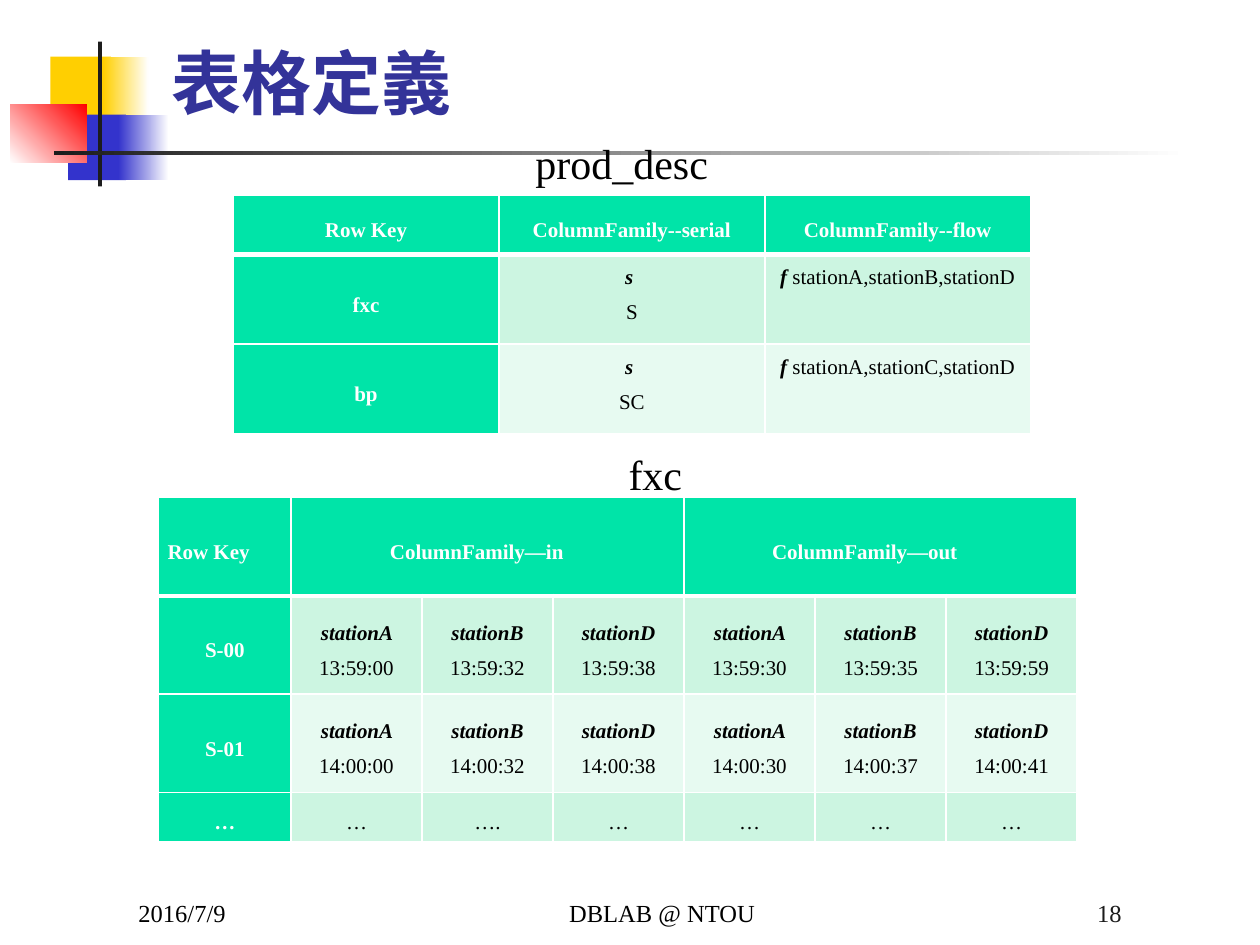
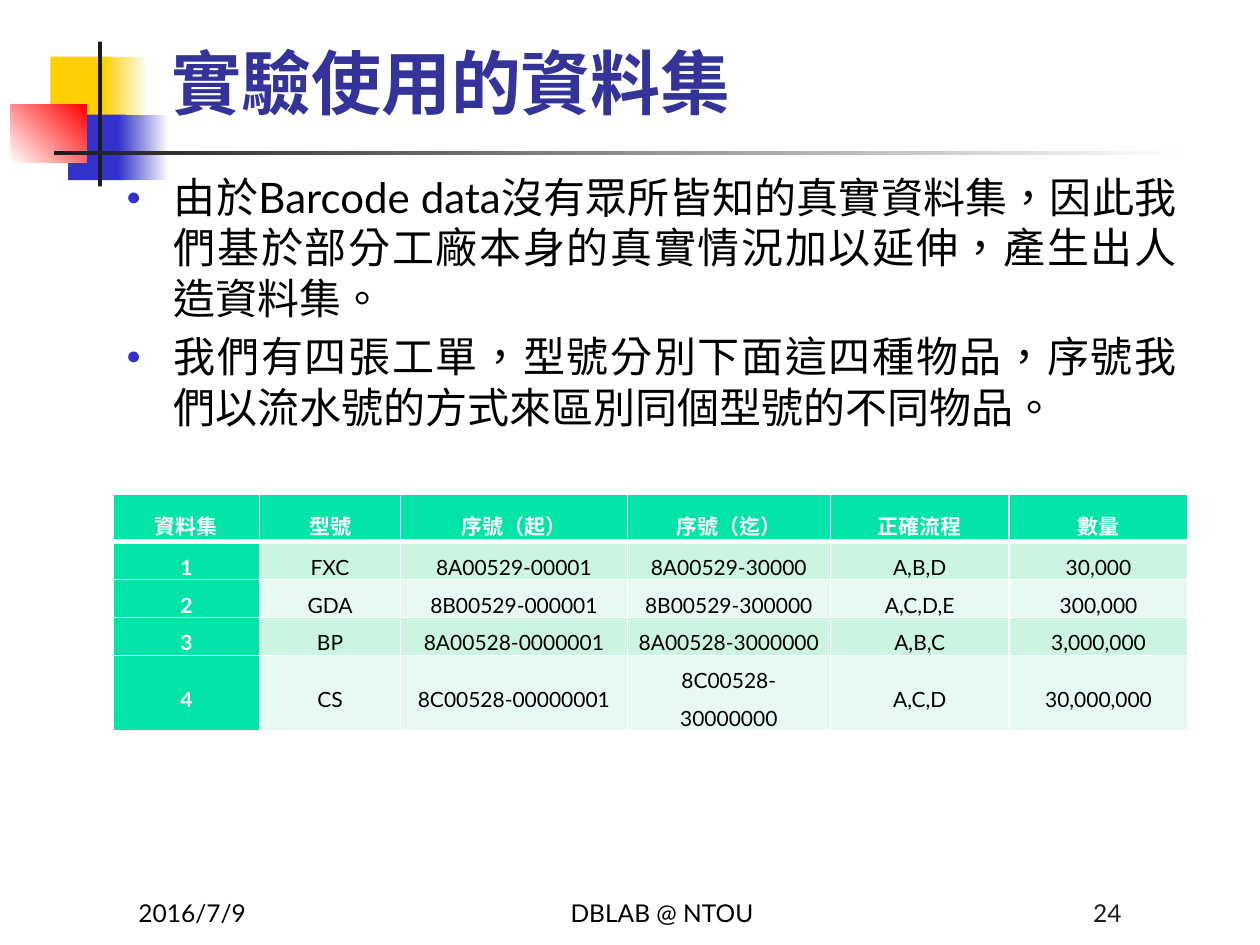
from pptx import Presentation
from pptx.dml.color import RGBColor
from pptx.enum.shapes import MSO_SHAPE
from pptx.enum.text import MSO_ANCHOR as Anchor, MSO_AUTO_SIZE as AutoSize, PP_ALIGN as Align
from pptx.oxml import parse_xml
from pptx.oxml.ns import nsdecls
from pptx.util import Inches, Pt

BLACK, WHITE, DARK = "000000", "FFFFFF", "1C1C1C"
YELLOW, BLUE, RED, NAVY = "FFCF01", "3333CC", "FF0000", "333399"
HEAD, BANDS = "00E4A8", ("CCF5E1", "E7FAF1")
SERIF, SANS = "Times New Roman", "Lato"

ORNAMENTS = [
    ((0.4, 0.45, 0.48, 0.52), (YELLOW,), 0),
    ((0.82, 0.45, 0.36, 0.52), (YELLOW, WHITE), 0),
    ((0.54, 0.91, 0.46, 0.52), (BLUE,), 0),
    ((0.94, 0.91, 0.4, 0.52), (BLUE, WHITE), 0),
    ((0.08, 0.83, 0.61, 0.46), (WHITE, RED), 45),
    ((0.78, 0.33, 0.03, 1.15), (DARK,), 0),
    ((0.43, 1.2, 9, 0.03), (DARK, WHITE), 0),
]


def stacked(label, value):
    return [[(label + " ", True)], [(value, False)]]


def inline(label, value):
    return [[(label + " ", True), (value, False)]]


def station_row(key, times):
    return [key] + [inline("station" + name, time) for name, time in zip("ABDABD", times)]


PRODUCTS = {
    "at": (1.85, 1.55),
    "cols": [2.11] * 3,
    "rows": [0.47, 0.71, 0.71],
    "cells": [
        ["Row Key", "ColumnFamily--serial", "ColumnFamily--flow"],
        ["fxc", stacked("s", "S"), inline("f", "stationA,stationB,stationD")],
        ["bp", stacked("s", "SC"), inline("f", "stationA,stationC,stationD")],
    ],
    "body_anchor": Anchor.TOP,
}
STATIONS = {
    "at": (1.26, 3.95),
    "cols": [1.05] + [1.04] * 6,
    "rows": [0.78, 0.78, 0.78, 0.39],
    "cells": [
        ["Row Key", "ColumnFamily—in", None, None, "ColumnFamily—out", None, None],
        station_row("S-00", ["13:59:00", "13:59:32", "13:59:38",
                             "13:59:30", "13:59:35", "13:59:59"]),
        station_row("S-01", ["14:00:00", "14:00:32", "14:00:38",
                             "14:00:30", "14:00:37", "14:00:41"]),
        ["…", "…", "….", "…", "…", "…", "…"],
    ],
    "corner_align": Align.LEFT,
    "head_insets": {1: 0.24, 4: 0.32},
}
DATASETS = {
    "at": (0.9, 3.92),
    "cols": [1.16, 1.12, 1.8, 1.61, 1.42, 1.42],
    "rows": [0.38, 0.3, 0.3, 0.3, 0.6],
    "cells": [
        ["資料集", "型號", "序號（起）", "序號（迄）", "正確流程", "數量"],
        ["1", "FXC", "8A00529-00001", "8A00529-30000", "A,B,D", "30,000"],
        ["2", "GDA", "8B00529-000001", "8B00529-300000", "A,C,D,E", "300,000"],
        ["3", "BP", "8A00528-0000001", "8A00528-3000000", "A,B,C", "3,000,000"],
        ["4", "CS", "8C00528-00000001", "8C00528-30000000", "A,C,D", "30,000,000"],
    ],
}
SLIDES = [
    {"title": "表格定義", "number": "18", "font": SERIF,
     "tables": [PRODUCTS, STATIONS],
     "captions": [("prod_desc", (4.15, 1.04, 1.59, 0.5)), ("fxc", (4.89, 3.51, 0.63, 0.5))]},
    {"title": "實驗使用的資料集", "number": "24", "font": SANS,
     "tables": [DATASETS],
     "bullets": [
         "由於Barcode data沒有眾所皆知的真實資料集，因此我們基於部分工廠本身的真實情況加以延伸，產生出人造資料集。",
         "我們有四張工單，型號分別下面這四種物品，序號我們以流水號的方式來區別同個型號的不同物品。",
     ]},
]


def color(code):
    return RGBColor.from_string(code)


def place(shape, at):
    shape.left, shape.top, shape.width, shape.height = map(Inches, at)


def add_bullet(para):
    props = para._p.get_or_add_pPr()
    props.set("marL", str(Inches(0.38)))
    props.set("indent", str(-Inches(0.38)))
    for xml in (f'<a:buClr {nsdecls("a")}><a:srgbClr val="{BLUE}"/></a:buClr>',
                f'<a:buSzPct {nsdecls("a")} val="60000"/>',
                f'<a:buChar {nsdecls("a")} char="●"/>'):
        props.append(parse_xml(xml))


def write(frame, paras, *, font, size, fill=BLACK, bold=False, align=Align.LEFT,
          line=None, gap=0, bullet=False):
    for index, content in enumerate(paras):
        para = frame.paragraphs[0] if index == 0 else frame.add_paragraph()
        para.alignment = align
        para.space_before = Pt(gap if index else 0)
        if line:
            para.line_spacing = line
        if bullet:
            add_bullet(para)
        spans = [(content, False)] if isinstance(content, str) else content
        for text, is_label in spans:
            span = para.add_run()
            span.text = text
            span.font.name, span.font.size = font, Pt(size)
            span.font.bold, span.font.italic = bold or is_label, is_label
            span.font.color.rgb = color(fill)
            span._r.get_or_add_rPr().set("lang", "zh-TW")


def add_label(page, text, at, *, wrap=True, anchor=Anchor.TOP, **style):
    frame = page.shapes.add_textbox(*map(Inches, at)).text_frame
    frame.word_wrap = wrap
    frame.vertical_anchor = anchor
    write(frame, [text], **style)


def add_ornaments(page):
    for at, tones, angle in ORNAMENTS:
        block = page.shapes.add_shape(MSO_SHAPE.RECTANGLE, *map(Inches, at))
        block.shadow.inherit = False
        block.line.fill.background()
        if len(tones) == 1:
            block.fill.solid()
            block.fill.fore_color.rgb = color(tones[0])
        else:
            block.fill.gradient()
            block.fill.gradient_angle = angle
            for stop, tone in zip(block.fill.gradient_stops, tones):
                stop.color.rgb = color(tone)


def set_borders(cell, row):
    widths = {"L": 1, "R": 1, "T": 3 if row == 1 else 1, "B": 3 if row == 0 else 1}
    for index, (side, width) in enumerate(widths.items()):
        cell._tc.get_or_add_tcPr().insert(index, parse_xml(
            f'<a:ln{side} {nsdecls("a")} w="{Pt(width)}"><a:solidFill>'
            f'<a:srgbClr val="{WHITE}"/></a:solidFill></a:ln{side}>'))


def add_grid(page, grid, font):
    cols, rows, cells = grid["cols"], grid["rows"], grid["cells"]
    table = page.shapes.add_table(
        len(rows), len(cols), *map(Inches, (*grid["at"], sum(cols), sum(rows)))).table
    table.first_row = table.horz_banding = False
    for column, width in zip(table.columns, cols):
        column.width = Inches(width)
    for line, height in zip(table.rows, rows):
        line.height = Inches(height)
    for row, contents in enumerate(cells):
        for col, content in enumerate(contents):
            cell = table.cell(row, col)
            is_key = row == 0 or col == 0
            cell.fill.solid()
            cell.fill.fore_color.rgb = color(HEAD if is_key else BANDS[(row - 1) % 2])
            set_borders(cell, row)
            cell.margin_left = cell.margin_right = Inches(0.07)
            cell.margin_top = cell.margin_bottom = 0
            cell.vertical_anchor = Anchor.MIDDLE if is_key else grid.get("body_anchor", Anchor.MIDDLE)
            if content is None:
                continue
            if row == 0:
                cell.margin_right = Inches(grid.get("head_insets", {}).get(col, 0.07))
            is_corner = row == col == 0
            write(cell.text_frame, [content] if isinstance(content, str) else content,
                  font=font, size=12, fill=WHITE if is_key else BLACK, bold=is_key, line=1.5,
                  align=grid.get("corner_align", Align.CENTER) if is_corner else Align.CENTER)
    for col in grid.get("head_insets", {}):
        table.cell(0, col).merge(table.cell(0, col + 2))


def add_footers(page, number, font):
    for text, at, align, fill in (
            ("2016/7/9", (1, 6.91, 2.08, 0.5), Align.LEFT, BLACK),
            ("DBLAB @ NTOU", (3.67, 6.91, 3.17, 0.5), Align.CENTER, BLACK),
            (number, (6.92, 6.91, 2.08, 0.5), Align.RIGHT, DARK)):
        add_label(page, text, at, anchor=Anchor.BOTTOM, font=font, size=14, fill=fill, align=align)


def add_page(deck, content):
    font, bullets = content["font"], content.get("bullets")
    page = deck.slides.add_slide(deck.slide_layouts[1 if bullets else 5])
    add_ornaments(page)
    title = page.shapes.title
    place(title, (1.26, 0.17, 8.52, 0.86))
    title.text_frame.vertical_anchor = Anchor.BOTTOM
    title.text_frame.auto_size = AutoSize.NONE
    write(title.text_frame, [content["title"]], font=font, size=40, fill=NAVY, bold=True)
    if bullets:
        body = page.placeholders[1]
        place(body, (0.9, 1.31, 8.54, 5.42))
        body.text_frame.auto_size = AutoSize.NONE
        write(body.text_frame, bullets, font=font, size=24, align=Align.JUSTIFY,
              gap=4.8, bullet=True)
    add_footers(page, content["number"], font)
    for grid in content["tables"]:
        add_grid(page, grid, font)
    for text, at in content.get("captions", []):
        add_label(page, text, at, wrap=False, font=font, size=24)


def main():
    deck = Presentation()
    deck.slide_width, deck.slide_height = Inches(10), Inches(7.5)
    for content in SLIDES:
        add_page(deck, content)
    deck.save("out.pptx")


if __name__ == "__main__":
    main()
